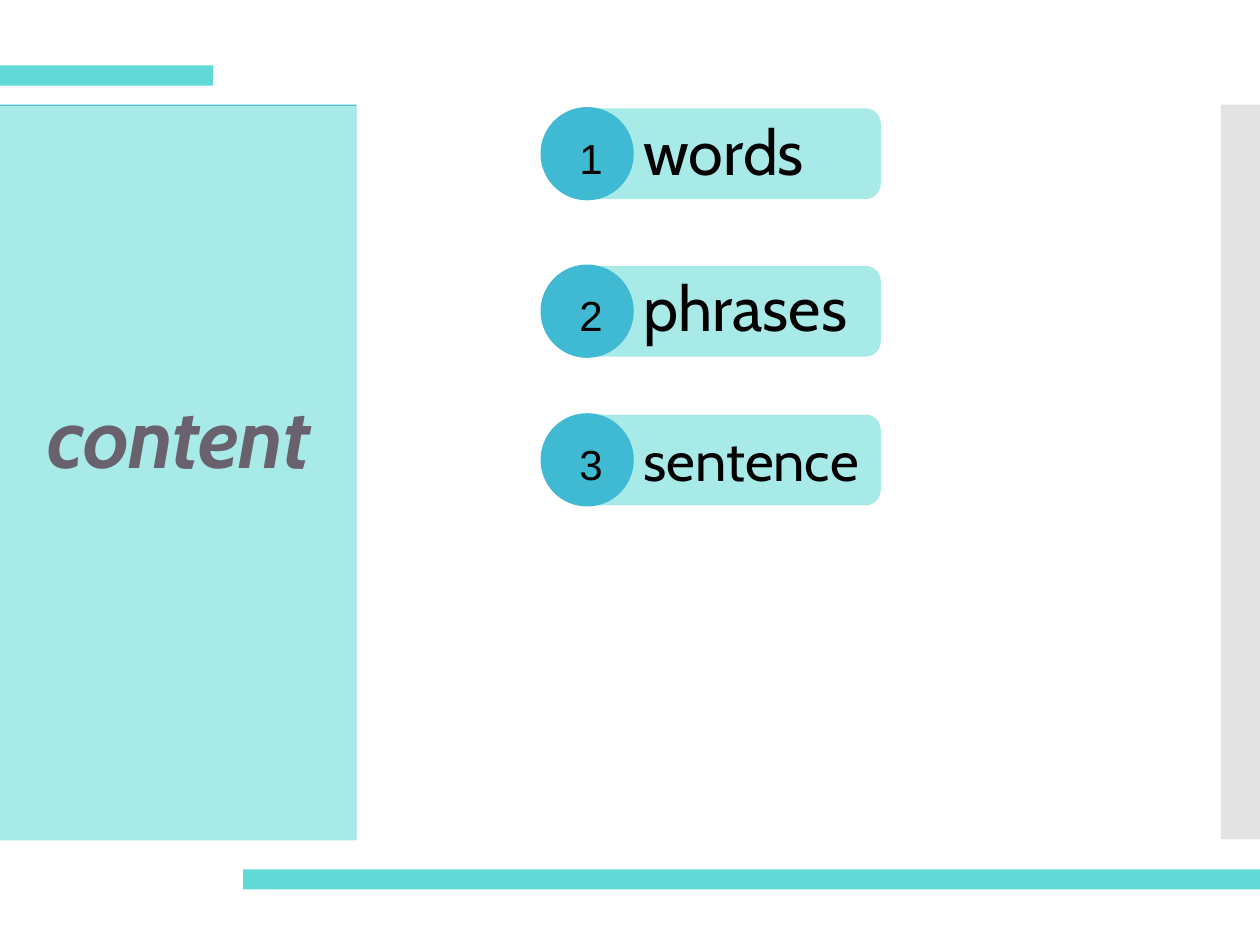
"""Build a contents slide with three numbered entries beside a title panel."""
from pptx import Presentation
from pptx.dml.color import RGBColor
from pptx.enum.shapes import MSO_SHAPE
from pptx.enum.text import MSO_ANCHOR, PP_ALIGN
from pptx.util import Inches, Pt

RECT, ROUND, OVAL = MSO_SHAPE.RECTANGLE, MSO_SHAPE.ROUNDED_RECTANGLE, MSO_SHAPE.OVAL
LEFT, TOP, MIDDLE = PP_ALIGN.LEFT, MSO_ANCHOR.TOP, MSO_ANCHOR.MIDDLE

WIDTH, HEIGHT = 10, 7.5
COLORS = {"blue": "40BAD2", "pale": "A8EAE8", "teal": "61D9D6",
          "grey": "E3E3E3", "title": "6A616F", "text": "000000"}
TITLE = "content"
ENTRIES = [
    {"text": "words", "size": 36, "top": 0.85, "shift": -0.01},
    {"text": "phrases", "size": 36, "top": 2.1, "shift": -0.02},
    {"text": "sentence", "size": 32, "top": 3.28, "shift": 0.05},
]
PANEL_TOP, PANEL_H, PANEL_W = 0.83, 5.83, 2.83
EDGE_LEFT = 9.69
BAR_H = 0.16
BARS = [(0, 0.52, 1.69), (1.93, 6.9, WIDTH - 1.93)]
DISC_LEFT, DISC = 4.29, 0.74
PILL_LEFT, PILL_W, PILL_H = 4.64, 2.35, 0.72


def rgb(name):
    return RGBColor.from_string(COLORS[name])


def add_block(shapes, kind, box, color):
    s = shapes.add_shape(kind, *map(Inches, box))
    s.shadow.inherit = False
    s.fill.solid()
    s.fill.fore_color.rgb = rgb(color)
    s.line.fill.background()


def set_text(s, text, size, font, color, anchor=TOP):
    tf = s.text_frame
    tf.word_wrap = True
    tf.vertical_anchor = anchor
    p = tf.paragraphs[0]
    p.text = text
    p.alignment = LEFT
    p.font.size = Pt(size)
    p.font.name = font
    p.font.color.rgb = rgb(color)
    return p


def add_label(shapes, box, text, size, font):
    s = shapes.add_textbox(*map(Inches, box))
    set_text(s, text, size, font, "text")


def add_title(slide):
    s = slide.shapes.title
    s.left, s.top, s.width, s.height = map(Inches, (0.28, 0.99, 2.42, 5.03))
    p = set_text(s, TITLE, 48, "Cabin", "title", MIDDLE)
    p.line_spacing = 0.9
    p.font.bold = p.font.italic = True
    p.runs[0].font._element.set("spc", "-60")
    slide.shapes._spTree.append(s._element)


def add_entry(slide, number, entry):
    shapes = slide.shapes.add_group_shape().shapes
    top = entry["top"]
    add_block(shapes, ROUND, (PILL_LEFT, top + (DISC - PILL_H) / 2, PILL_W, PILL_H), "pale")
    add_block(shapes, OVAL, (DISC_LEFT, top, DISC, DISC), "blue")
    add_label(shapes, (5.01, top + entry["shift"], 2.36, 0.71),
              entry["text"], entry["size"], "Cabin")
    add_label(shapes, (4.5, top + 0.15, 1, 0.5), str(number), 24, "Arial")


def main():
    prs = Presentation()
    prs.slide_width, prs.slide_height = Inches(WIDTH), Inches(HEIGHT)
    slide = prs.slides.add_slide(prs.slide_layouts.get_by_name("Title Only"))
    add_block(slide.shapes, RECT, (0, PANEL_TOP, PANEL_W, PANEL_H), "blue")
    add_block(slide.shapes, RECT, (EDGE_LEFT, PANEL_TOP, WIDTH - EDGE_LEFT, PANEL_H), "grey")
    add_block(slide.shapes, RECT, (0, PANEL_TOP + 0.01, PANEL_W, PANEL_H), "pale")
    add_title(slide)
    for left, top, width in BARS:
        add_block(slide.shapes, RECT, (left, top, width, BAR_H), "teal")
    for number, entry in enumerate(ENTRIES, 1):
        add_entry(slide, number, entry)
    prs.save("out.pptx")


if __name__ == "__main__":
    main()
